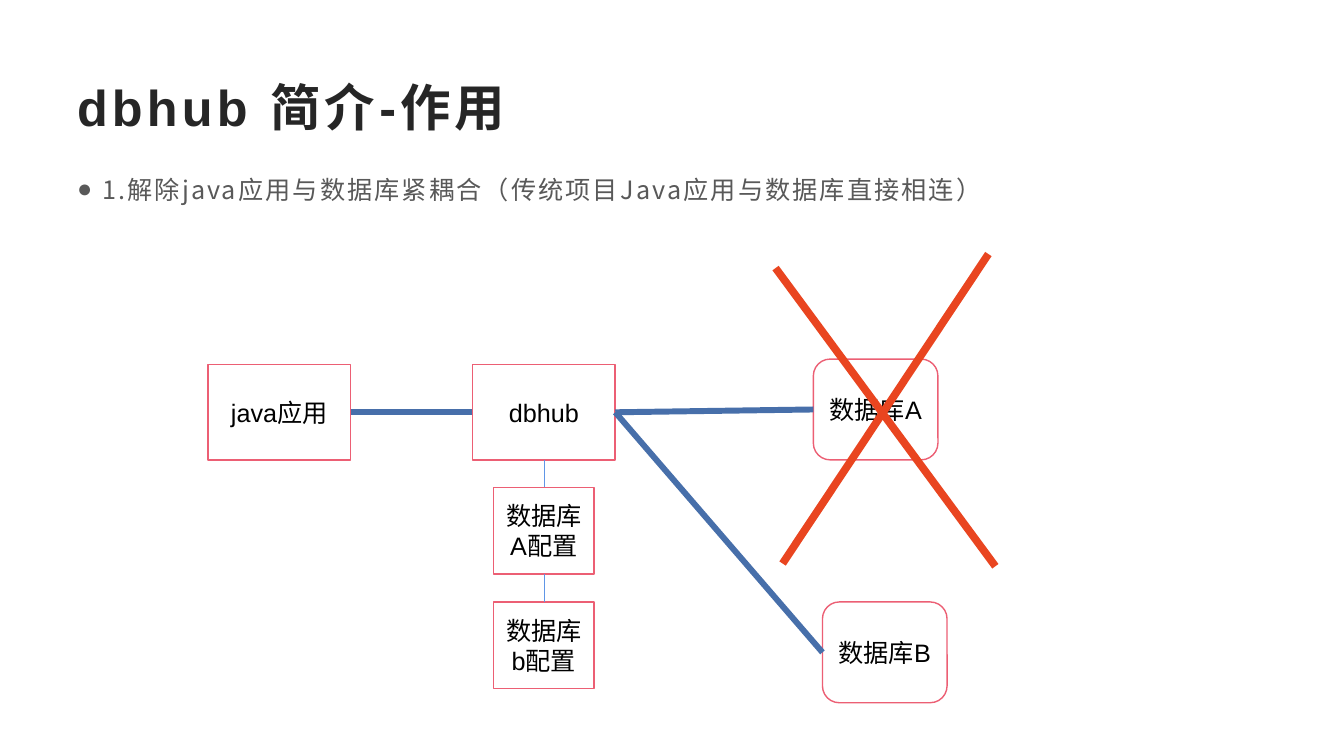
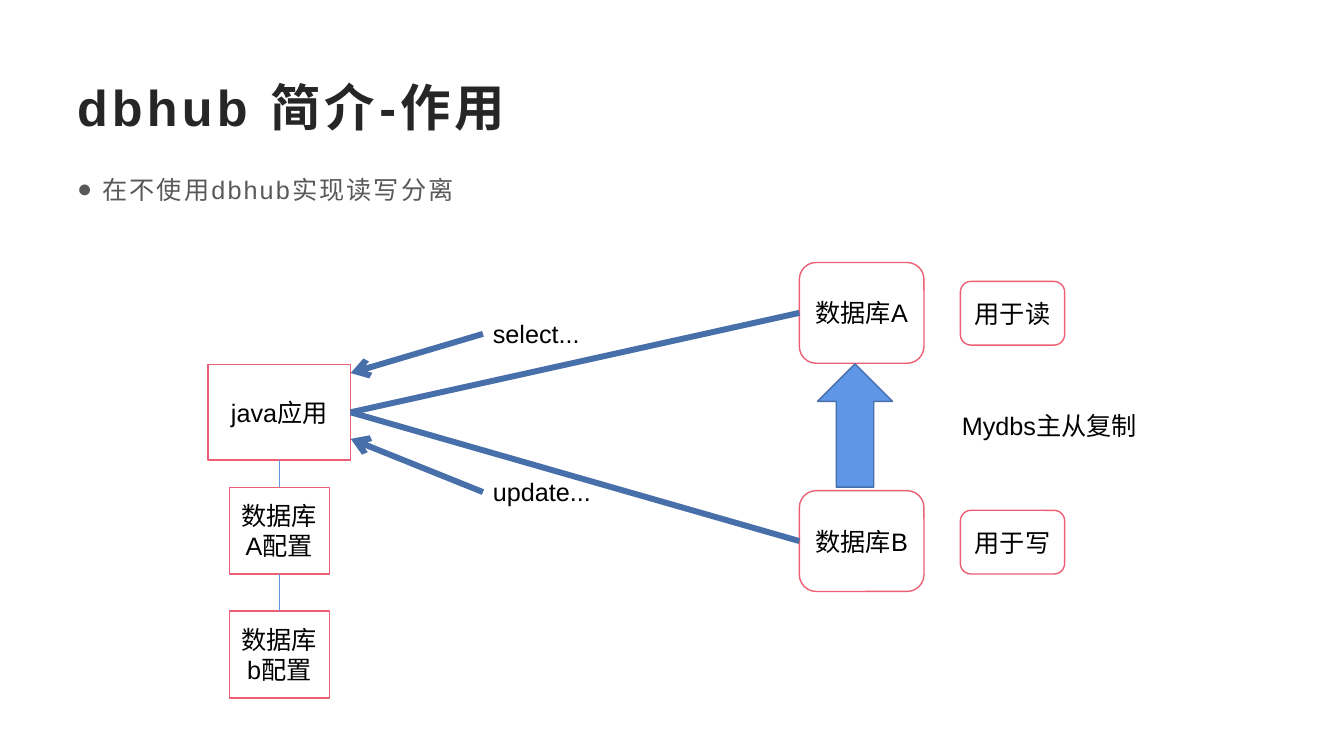
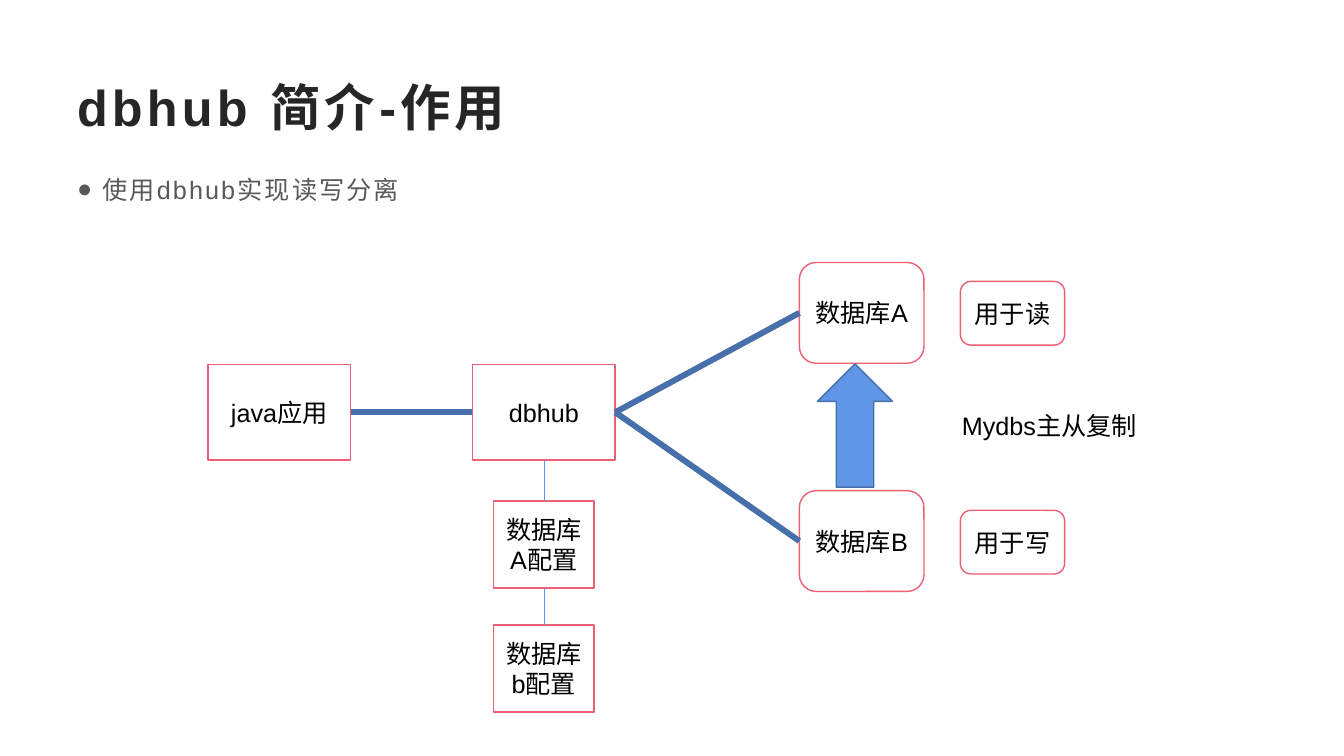
from pptx import Presentation
from pptx.dml.color import RGBColor
from pptx.enum.shapes import MSO_CONNECTOR, MSO_SHAPE
from pptx.enum.text import MSO_ANCHOR, PP_ALIGN
from pptx.oxml.ns import qn
from pptx.util import Pt
from lxml.etree import SubElement

WHITE = RGBColor(0xFF, 0xFF, 0xFF)
BLACK = RGBColor(0x00, 0x00, 0x00)
TITLE_INK = RGBColor(0x26, 0x26, 0x26)
BODY_INK = RGBColor(0x59, 0x59, 0x59)
PINK = RGBColor(0xEC, 0x5F, 0x74)
BLUE = RGBColor(0x60, 0x96, 0xE6)
DARK_BLUE = RGBColor(0x47, 0x6F, 0xAA)
RED = RGBColor(0xE9, 0x45, 0x20)

LATIN = "Arial"
CHINESE = "Noto Sans CJK SC"
TITLE = "dbhub 简介-作用"

TOP, LEFT, BOTTOM, RIGHT = range(4)
MARGIN = 48
CONTENT_WIDTH = 864
SERVER_SIZE = (102, 68)
SERVER_TOP = 260.5
APP_LEFT, HUB_LEFT = 148.5, 337.5
DATABASE_SIZE = (89, 72)
DATABASE_LEFT = 571
CONFIG_SIZE = (71.5, 62)
TAG_SIZE = (74.5, 45.5)


def add_run(para, text, size=18, color=BLACK, font=LATIN, bold=False, spacing=0):
    span = para.add_run()
    span.text = text
    span.font.size = Pt(size)
    span.font.bold = bold
    span.font.color.rgb = color
    span.font.name = font
    properties = span.font._element
    SubElement(properties, qn("a:ea")).set("typeface", CHINESE)
    if spacing:
        properties.set("spc", str(int(spacing * 100)))


def add_text(page, left, top, width, height, text, anchor=MSO_ANCHOR.TOP, **style):
    box = page.shapes.add_textbox(Pt(left), Pt(top), Pt(width), Pt(height))
    box.text_frame.word_wrap = True
    box.text_frame.vertical_anchor = anchor
    para = box.text_frame.paragraphs[0]
    add_run(para, text, **style)
    return para


def add_bullet(para):
    para.line_spacing = 1.2
    para.space_after = Pt(10)
    properties = para._p.get_or_add_pPr()
    properties.set("marL", str(Pt(18)))
    properties.set("indent", str(-Pt(18)))
    SubElement(properties, qn("a:buFont")).set("typeface", LATIN)
    SubElement(properties, qn("a:buChar")).set("char", "●")


def add_page(deck, statement, font=LATIN):
    page = deck.slides.add_slide(deck.slide_layouts[6])
    add_text(page, MARGIN, 48, CONTENT_WIDTH, 55.5, TITLE, MSO_ANCHOR.MIDDLE,
             size=36, color=TITLE_INK, bold=True, spacing=3)
    add_bullet(add_text(page, MARGIN, 116.5, CONTENT_WIDTH, 71, statement,
                        color=BODY_INK, font=font, spacing=1.5))
    return page


def add_shape(page, kind, left, top, size, fill=WHITE, outline=PINK):
    shape = page.shapes.add_shape(kind, Pt(left), Pt(top), Pt(size[0]), Pt(size[1]))
    shape.shadow.inherit = False
    shape.fill.solid()
    shape.fill.fore_color.rgb = fill
    shape.line.color.rgb = outline
    shape.line.width = Pt(1)
    return shape


def add_box(page, text, left, top, size, kind=MSO_SHAPE.RECTANGLE):
    box = add_shape(page, kind, left, top, size)
    box.text_frame.word_wrap = True
    box.text_frame.vertical_anchor = MSO_ANCHOR.MIDDLE
    para = box.text_frame.paragraphs[0]
    para.alignment = PP_ALIGN.CENTER
    add_run(para, text)
    return box


def add_server(page, text, left):
    return add_box(page, text, left, SERVER_TOP, SERVER_SIZE)


def add_database(page, letter, left, top):
    return add_box(page, "数据库" + letter, left, top, DATABASE_SIZE,
                   MSO_SHAPE.ROUNDED_RECTANGLE)


def add_line(page, start, end, color=DARK_BLUE, width=4.25, arrow=False):
    line = page.shapes.add_connector(MSO_CONNECTOR.STRAIGHT, *map(Pt, start + end))
    line.line.color.rgb = color
    line.line.width = Pt(width)
    if arrow:
        SubElement(line.line._get_or_add_ln(), qn("a:tailEnd")).set("type", "arrow")
    SubElement(line._element.spPr, qn("a:effectLst"))
    return line


def join(page, first, first_side, second, second_side, **style):
    line = add_line(page, (0, 0), (0, 0), **style)
    line.begin_connect(first, first_side)
    line.end_connect(second, second_side)


def link(page, first, second):
    join(page, first, RIGHT, second, LEFT)


def add_configs(page, server, server_left, tops):
    left = server_left + (SERVER_SIZE[0] - CONFIG_SIZE[0]) / 2
    above = server
    for letter, top in zip("Ab", tops):
        config = add_box(page, f"数据库{letter}配置", left, top, CONFIG_SIZE)
        join(page, above, BOTTOM, config, TOP, color=BLUE, width=0.5)
        above = config


def add_replication(page):
    databases = [add_database(page, letter, DATABASE_LEFT, top)
                 for letter, top in (("A", 187.5), ("B", 350.5))]
    for text, top in (("用于读", 201), ("用于写", 364.5)):
        add_box(page, text, 686, top, TAG_SIZE, MSO_SHAPE.ROUNDED_RECTANGLE)
    add_shape(page, MSO_SHAPE.UP_ARROW, 584, 260, (53.5, 88), BLUE, DARK_BLUE)
    add_text(page, 680, 289.5, 163.5, 29, "Mydbs主从复制")
    return databases


def build_decoupling(deck):
    page = add_page(deck, "1.解除java应用与数据库紧耦合（传统项目Java应用与数据库直接相连）", CHINESE)
    database_a = add_database(page, "A", 581, 256.5)
    database_b = add_database(page, "B", 587.5, 430)
    add_line(page, (554, 191.5), (711, 404.5), RED, 5.5)
    add_line(page, (559, 402.5), (706, 181.5), RED, 5.5)
    app = add_server(page, "java应用", APP_LEFT)
    hub = add_server(page, "dbhub", HUB_LEFT)
    add_configs(page, hub, HUB_LEFT, (348, 430))
    link(page, app, hub)
    for database in (database_a, database_b):
        link(page, hub, database)


def build_direct_split(deck):
    page = add_page(deck, "在不使用dbhub实现读写分离")
    app = add_server(page, "java应用", APP_LEFT)
    add_configs(page, app, APP_LEFT, (348, 436.5))
    for database in add_replication(page):
        link(page, app, database)
    for text, top, target in (("select...", 224, 266.5), ("update...", 337, 313.5)):
        add_text(page, 345, top, 94, 29, text)
        add_line(page, (345, top + 14.5), (APP_LEFT + SERVER_SIZE[0], target), arrow=True)


def build_hub_split(deck):
    page = add_page(deck, "使用dbhub实现读写分离")
    app = add_server(page, "java应用", APP_LEFT)
    hub = add_server(page, "dbhub", HUB_LEFT)
    add_configs(page, hub, HUB_LEFT, (358, 446.5))
    link(page, app, hub)
    for database in add_replication(page):
        link(page, hub, database)


def main():
    deck = Presentation()
    deck.slide_width = Pt(960)
    deck.slide_height = Pt(540)
    build_decoupling(deck)
    build_direct_split(deck)
    build_hub_split(deck)
    deck.save("out.pptx")


if __name__ == "__main__":
    main()
